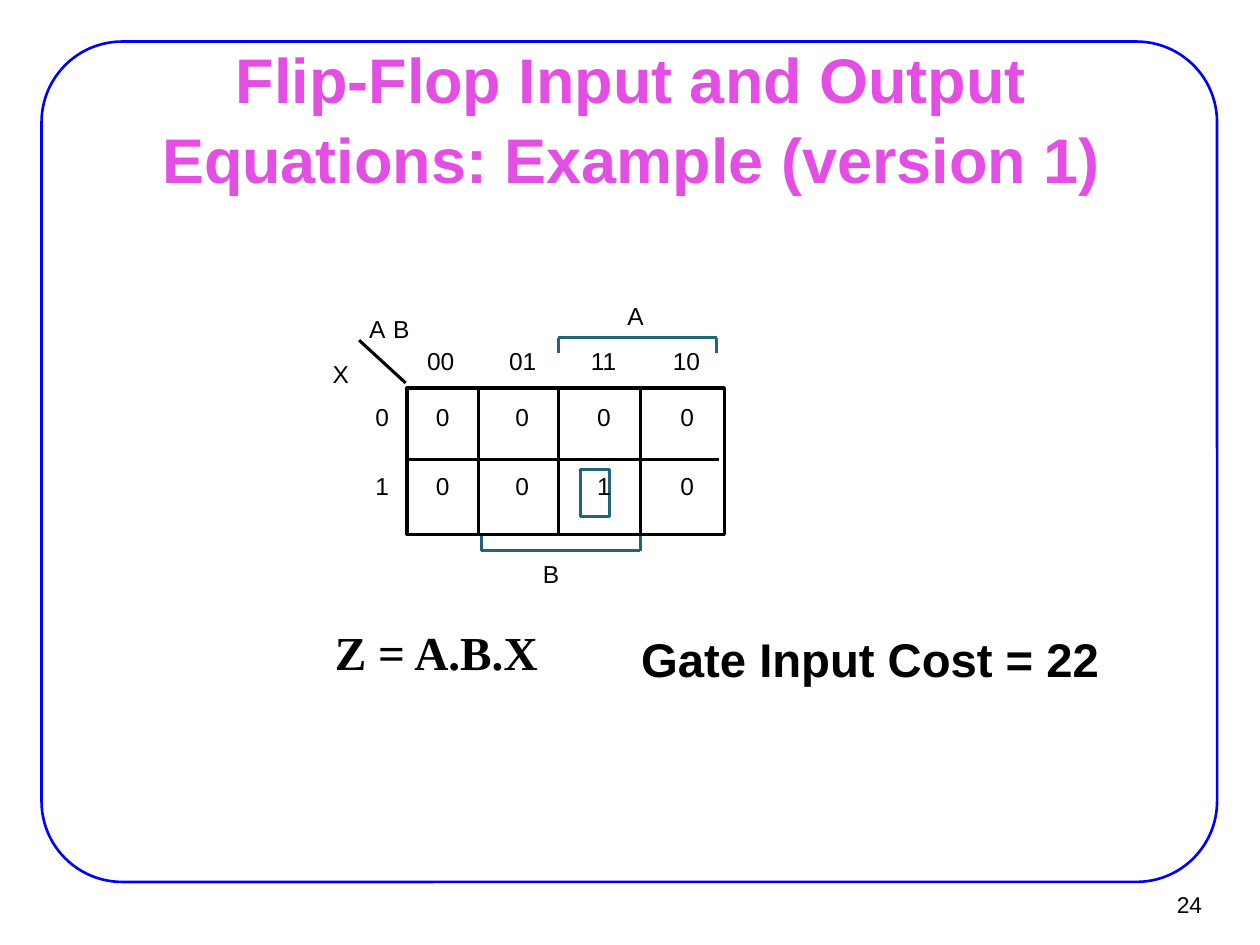
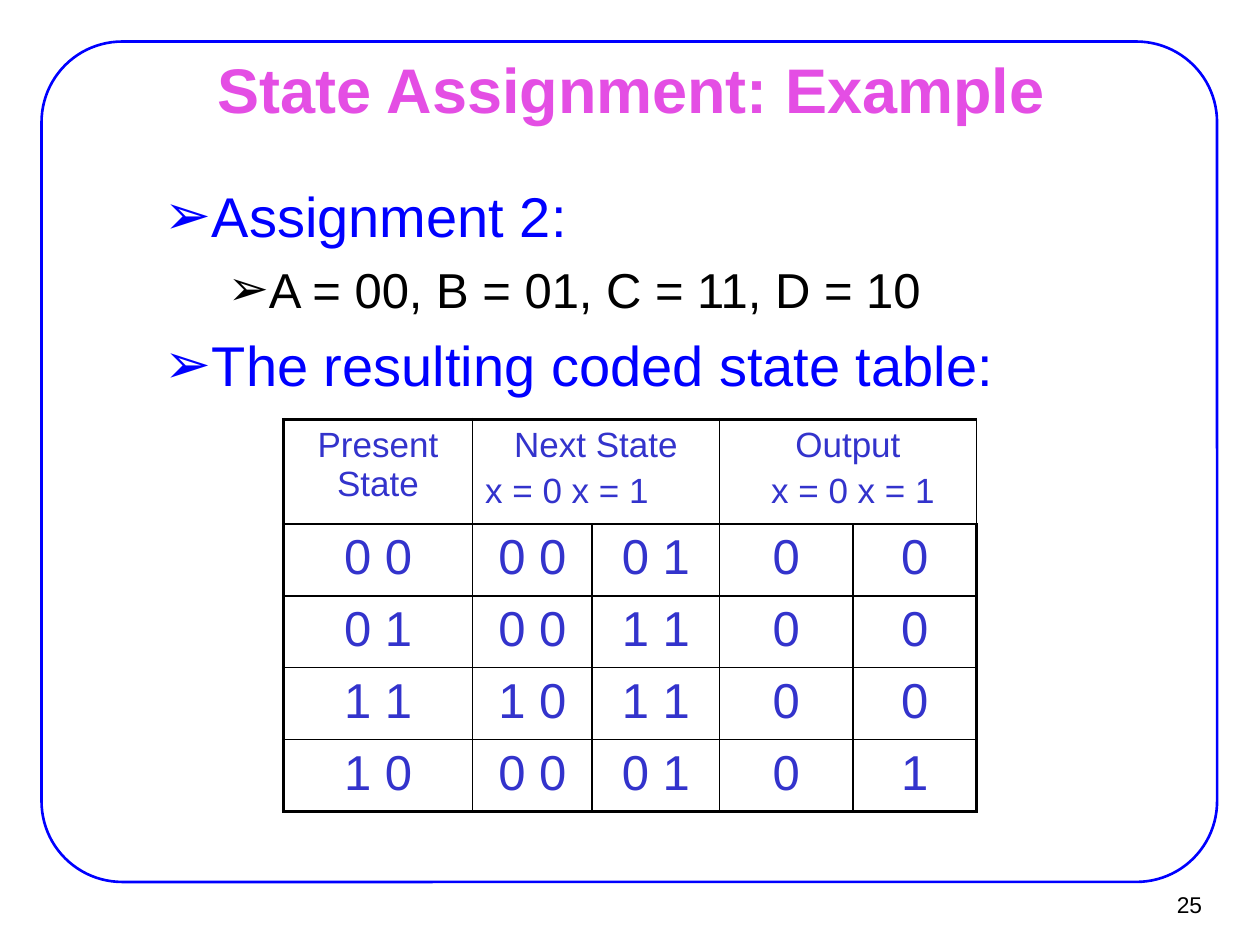
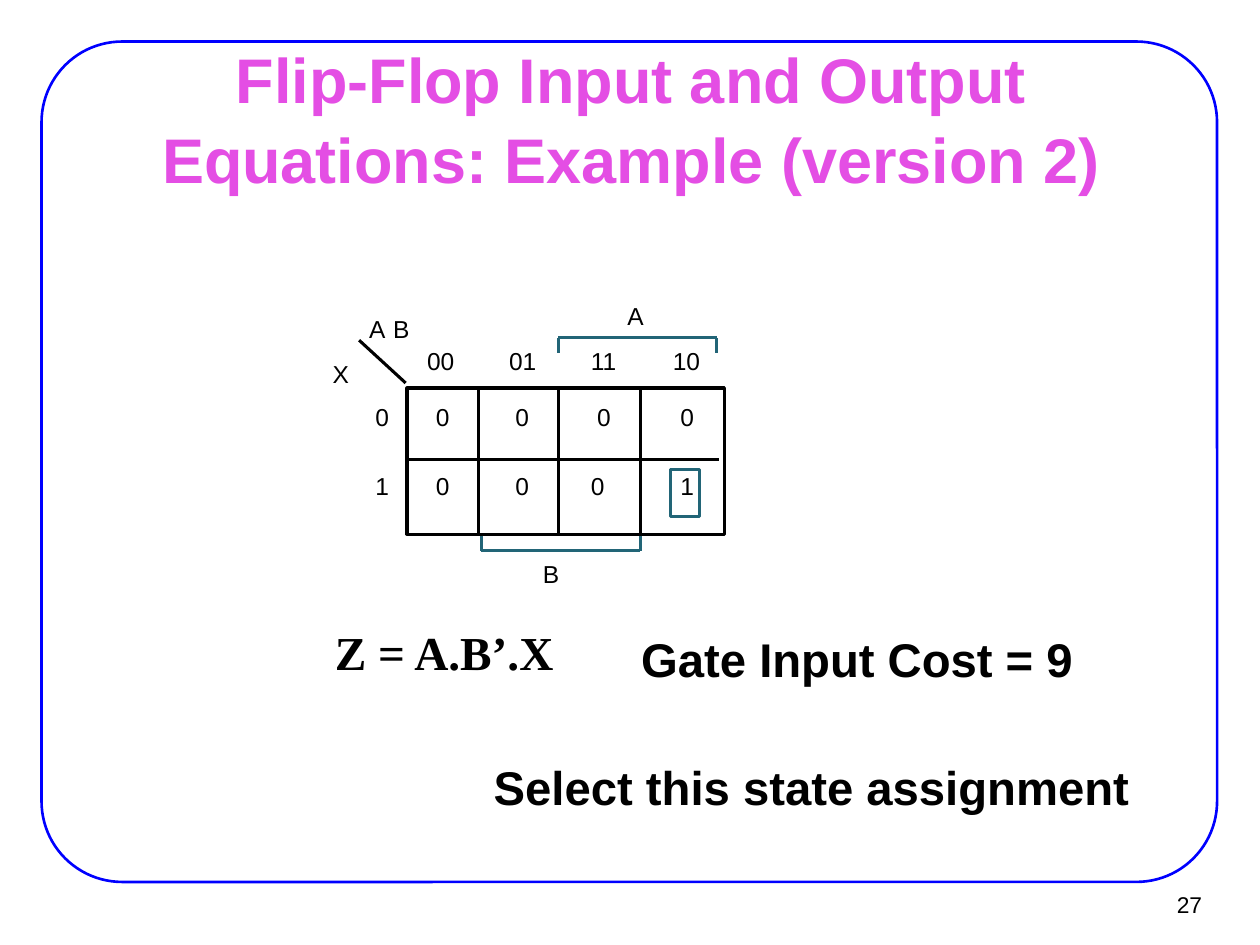
from lxml.etree import SubElement
from pptx import Presentation
from pptx.dml.color import RGBColor
from pptx.enum.shapes import MSO_CONNECTOR as Connector, MSO_SHAPE as Preset
from pptx.enum.text import MSO_ANCHOR as Anchor, MSO_AUTO_SIZE as AutoSize, PP_ALIGN as Align
from pptx.oxml.ns import qn
from pptx.util import Inches, Pt

BLACK, BLUE, PINK, TEAL, INDIGO = "000000", "0000FF", "E44EE4", "226577", "3333CC"
rgb = RGBColor.from_string


def style(paragraph, size, color=BLACK, bold=False, font="Arial", align=Align.LEFT):
    paragraph.alignment = align
    paragraph.font.size = Pt(size)
    paragraph.font.bold = bold
    paragraph.font.name = font
    paragraph.font.color.rgb = rgb(color)


def add_text(slide, text, left, top, width, height, margins=(0, 0), **look):
    frame = slide.shapes.add_textbox(Inches(left), Inches(top), Inches(width), Inches(height)).text_frame
    frame.word_wrap = True
    frame.margin_left = frame.margin_right = Inches(margins[0])
    frame.margin_top = frame.margin_bottom = Inches(margins[1])
    frame.text = text
    style(frame.paragraphs[0], **look)
    return frame


prs = Presentation()
prs.slide_width, prs.slide_height = Inches(10), Inches(7.5)

slides = []
for number, heading, heading_top in [
    ("24", "Flip-Flop Input and Output Equations: Example (version 1)", 0.68),
    ("25", "State Assignment: Example", 0.44),
    ("27", "Flip-Flop Input and Output Equations: Example (version 2)", 0.68),
]:
    slide = prs.slides.add_slide(prs.slide_layouts[5])
    slides.append(slide)
    border = slide.shapes.add_shape(Preset.ROUNDED_RECTANGLE, Inches(0.33), Inches(0.33), Inches(9.33), Inches(6.67))
    border.adjustments[0] = 0.096
    border.shadow.inherit = False
    border.fill.background()
    border.line.color.rgb = rgb(BLUE)
    border.line.width = Pt(1.5)

    title = slide.shapes.title
    title.left, title.top, title.width, title.height = Inches(0.76), Inches(heading_top), Inches(8.5), Inches(0.49)
    title.text = heading
    frame = title.text_frame
    frame.auto_size = AutoSize.NONE
    frame.vertical_anchor = Anchor.MIDDLE
    frame.margin_left = frame.margin_right = Inches(0.11)
    frame.margin_top = frame.margin_bottom = Inches(0.06)
    frame.paragraphs[0].line_spacing = 1.05
    style(frame.paragraphs[0], 36, PINK, bold=True, align=Align.CENTER)

    page = add_text(slide, number, 9.02, 6.99, 0.61, 0.37, (0.09, 0.04), size=13, align=Align.RIGHT)
    page.vertical_anchor = Anchor.MIDDLE

version1, coded_table, version2 = slides

map_lines = [
    (BLACK, 3.22, 3.65, 5.71, 3.65),
    (BLACK, 3.22, 3.04, 2.85, 2.7),
    *[(BLACK, x, 3.07, x, 4.23) for x in (3.8, 4.43, 5.08)],
]
for left, right, bar, tip in [(3.82, 5.08, 4.37, 4.25), (4.43, 5.69, 2.68, 2.8)]:
    map_lines += [
        (TEAL, left, tip, left, bar),
        (TEAL, left, bar, right, bar),
        (TEAL, right, tip, right, bar),
    ]
map_labels = [
    ("A", 2.93, 2.49), ("B", 3.12, 2.49), ("A", 4.98, 2.39), ("B", 4.31, 4.44), ("X", 2.64, 2.85),
    ("0", 2.98, 3.19), ("1", 2.98, 3.74),
    *[(code, 3.39 + 0.65 * i, 2.75) for i, code in enumerate(("00", "01", "11", "10"))],
]
digit_lefts = (3.46, 4.09, 4.74, 5.4)

for slide, lower_row, lower_lefts, marker_left, equation, cost in [
    (version1, "0010", digit_lefts, 4.61, "Z = A.B.X", "Gate Input Cost = 22"),
    (version2, "0001", (3.46, 4.09, 4.69, 5.4), 5.32, "Z = A.B’.X", "Gate Input Cost = 9"),
]:
    for color, *box in [(BLACK, 3.23, 3.08, 2.52, 1.16), (TEAL, marker_left, 3.73, 0.23, 0.37)]:
        outline = slide.shapes.add_shape(Preset.RECTANGLE, *map(Inches, box))
        outline.shadow.inherit = False
        outline.fill.background()
        outline.line.color.rgb = rgb(color)
        outline.line.width = Pt(1.75)
    for color, *ends in map_lines:
        rule = slide.shapes.add_connector(Connector.STRAIGHT, *map(Inches, ends))
        rule.line.color.rgb = rgb(color)
        rule.line.width = Pt(1.75)
        SubElement(rule._element.spPr, qn("a:effectLst"))
    digits = [("0", left, 3.19) for left in digit_lefts]
    digits += [(digit, left, 3.74) for digit, left in zip(lower_row, lower_lefts)]
    for label, left, top in map_labels + digits:
        add_text(slide, label, left, top, 0.27, 0.23, size=14)
    add_text(slide, equation, 2.56, 4.9, 3.7, 0.55, (0.1, 0.05), size=27, bold=True, font="Times New Roman")
    add_text(slide, cost, 4.99, 4.95, 3.9, 0.55, (0.1, 0.05), size=27, bold=True)

add_text(version2, "Select this state assignment", 3.82, 5.97, 5.4, 0.55, (0.1, 0.05), size=27, bold=True)

points = [
    ("Assignment 2:", 0.81, -0.31, 32, BLUE, 0),
    ("A = 00, B = 01, C = 11, D = 10", 1.25, -0.25, 28, BLACK, 6),
    ("The resulting coded state table:", 0.81, -0.31, 32, BLUE, 7),
]
body = add_text(coded_table, "\n".join(point[0] for point in points), 0.7, 1.38, 8.8, 1.95, (0.11, 0.06), size=32)
for paragraph, (_, margin, indent, size, color, gap) in zip(body.paragraphs, points):
    properties = paragraph._p.get_or_add_pPr()
    properties.set("marL", str(Inches(margin)))
    properties.set("indent", str(Inches(indent)))
    paragraph.space_before = Pt(gap)
    for old in properties.findall(qn("a:defRPr")):
        properties.remove(old)
    SubElement(properties, qn("a:buFont"), typeface="Arial")
    SubElement(properties, qn("a:buChar"), char="➢")
    style(paragraph, size, color)

rows = [
    ["Present State", "Next State\nx = 0 x = 1", "", "Output\nx = 0 x = 1", ""],
    ["0 0", "0 0", "0 1", "0", "0"],
    ["0 1", "0 0", "1 1", "0", "0"],
    ["1 1", "1 0", "1 1", "0", "0"],
    ["1 0", "0 0", "0 1", "0", "1"],
]
states = coded_table.shapes.add_table(5, 5, Inches(2.25), Inches(3.33), Inches(5.5), Inches(3.1)).table
states.first_row = states.horz_banding = False
for column, width in zip(states.columns, (1.5, 0.95, 1.01, 1.06, 0.98)):
    column.width = Inches(width)
for row, height in zip(states.rows, (0.83, 0.57, 0.57, 0.57, 0.57)):
    row.height = Inches(height)
for first in (1, 3):
    states.cell(0, first).merge(states.cell(0, first + 1))

for r, row in enumerate(rows):
    for c, text in enumerate(row):
        cell = states.cell(r, c)
        if text:
            cell.text = text
        for i, paragraph in enumerate(cell.text_frame.paragraphs):
            if i:
                paragraph.space_before = Pt(4)
            style(paragraph, 28 if r else 20, INDIGO, align=Align.CENTER)
        for side, outer in [("L", c == 0), ("R", c == 4), ("T", r == 0), ("B", r == 4)]:
            edge = SubElement(cell._tc.get_or_add_tcPr(), qn(f"a:ln{side}"), w=str(Pt(2.25 if outer else 1)))
            SubElement(SubElement(edge, qn("a:solidFill")), qn("a:srgbClr"), val=BLACK)
        cell.fill.background()

states.cell(0, 1).text_frame.paragraphs[1].alignment = Align.LEFT
output_inputs = states.cell(0, 3).text_frame.paragraphs[1]
output_inputs._p.get_or_add_pPr().set("marL", str(Inches(0.08)))

prs.save("out.pptx")
